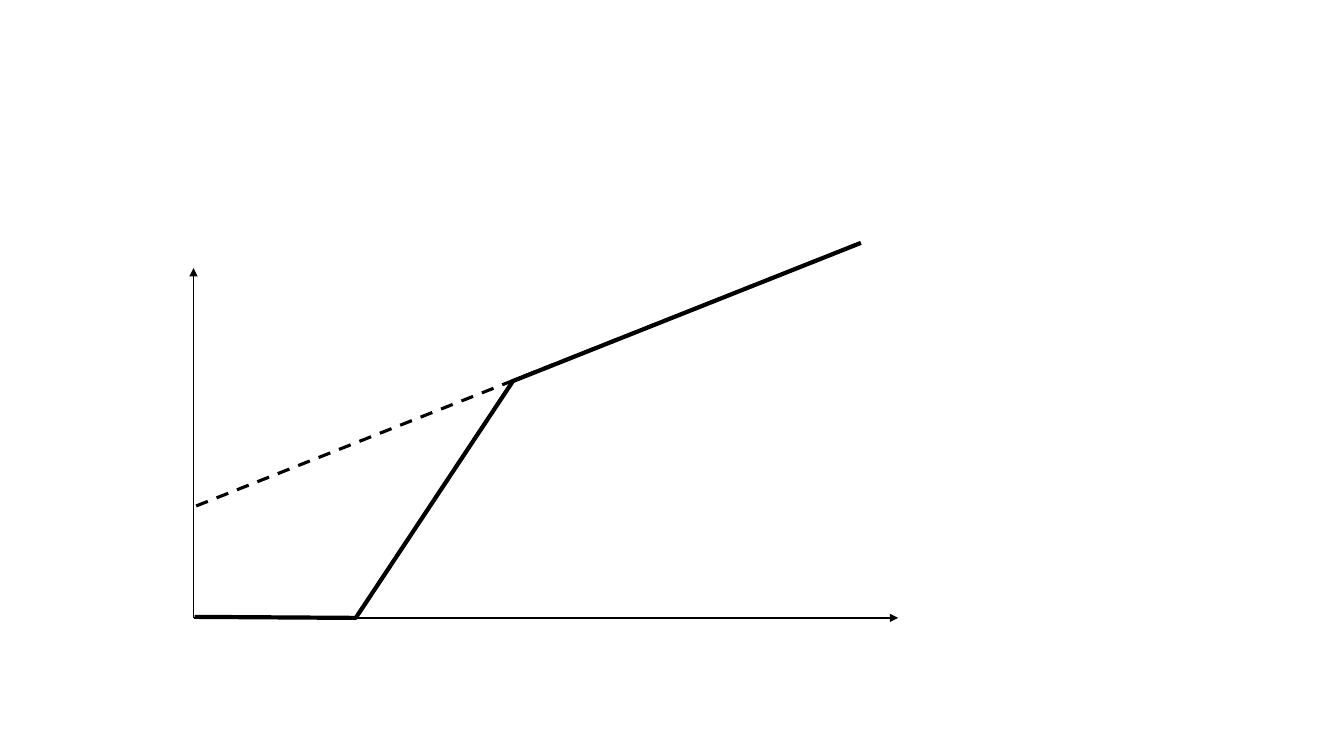
from lxml.etree import SubElement
from pptx import Presentation
from pptx.dml.color import RGBColor
from pptx.enum.dml import MSO_LINE_DASH_STYLE as Dash
from pptx.enum.shapes import MSO_CONNECTOR as Connector
from pptx.oxml.ns import qn
from pptx.util import Pt

COLORS = {"ink": "000000"}
ORIGIN = (138.24, 441.36)
Y_TIP = (ORIGIN[0], 191.52)
X_TIP = (641.52, ORIGIN[1])
INTERCEPT = (ORIGIN[0], 362.16)
CURVE = [(138.96, 440.64), (254.16, 441.36), (366.48, 272.16), (614.88, 173.52)]


def to_lengths(point):
    return tuple(Pt(value) for value in point)


def format_line(line, line_format):
    line.color.rgb = RGBColor.from_string(COLORS["ink"])
    for attribute, value in line_format.items():
        setattr(line, attribute, value)


def add_segment(slide, start, end, line_format):
    segment = slide.shapes.add_connector(
        Connector.STRAIGHT, *to_lengths(start), *to_lengths(end)
    )
    format_line(segment.line, line_format)
    SubElement(segment._element.spPr, qn("a:effectLst"))
    return segment


def add_axis(slide, tip):
    axis = add_segment(slide, tip, ORIGIN, {"width": Pt(1)})
    outline = axis._element.spPr.find(qn("a:ln"))
    SubElement(outline, qn("a:headEnd"), type="triangle", w="med", len="med")


def add_curve(slide, points, line_format):
    start, *rest = map(to_lengths, points)
    builder = slide.shapes.build_freeform(*start)
    builder.add_line_segments(rest, close=False)
    curve = builder.convert_to_shape()
    curve.shadow.inherit = False
    curve.fill.background()
    format_line(curve.line, line_format)


def main():
    presentation = Presentation()
    presentation.slide_width = Pt(960)
    presentation.slide_height = Pt(540)
    slide = presentation.slides.add_slide(presentation.slide_layouts[6])

    add_segment(
        slide, CURVE[-1], INTERCEPT, {"width": Pt(2.25), "dash_style": Dash.DASH}
    )
    for tip in (Y_TIP, X_TIP):
        add_axis(slide, tip)
    add_curve(slide, CURVE, {"width": Pt(3)})

    presentation.save("out.pptx")


if __name__ == "__main__":
    main()
